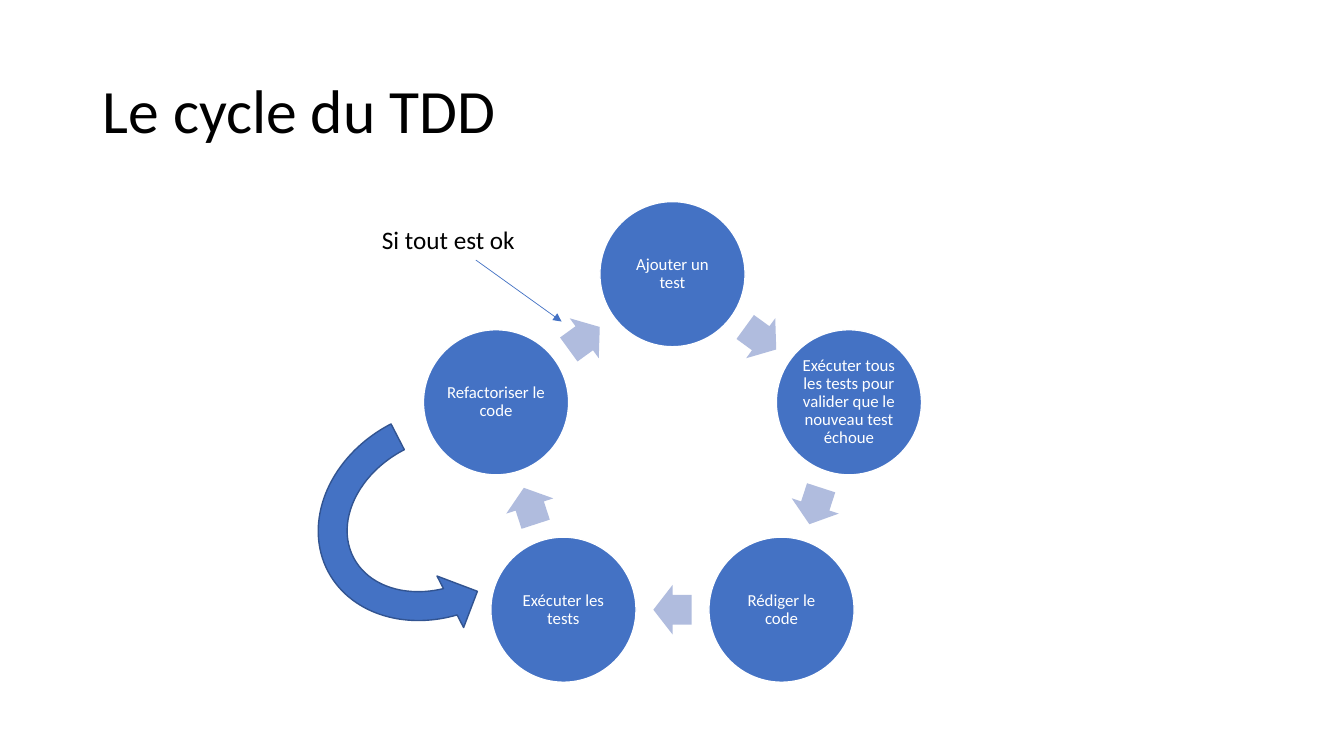
from dataclasses import dataclass
from math import cos, pi, radians, sin

from lxml import etree
from pptx import Presentation
from pptx import util as u
from pptx.dml.color import RGBColor
from pptx.enum import shapes, text
from pptx.oxml.ns import qn
from pptx.shapes.autoshape import Shape
from pptx.slide import Slide
from pptx.text.text import TextFrame


@dataclass(frozen=True)
class Theme:
    font: str = "Calibri"
    blue: RGBColor = RGBColor(0x44, 0x72, 0xC4)
    dark_blue: RGBColor = RGBColor(0x32, 0x54, 0x91)
    pale_blue: RGBColor = RGBColor(0xB0, 0xBC, 0xDE)
    black: RGBColor = RGBColor(0, 0, 0)
    white: RGBColor = RGBColor(255, 255, 255)
    title_size: int = 44
    label_size: int = 18
    step_size: int = 12


@dataclass(frozen=True)
class Box:
    left: float
    top: float
    width: float
    height: float

    def lengths(self) -> list[u.Length]:
        return [u.Inches(n) for n in (self.left, self.top, self.width, self.height)]


@dataclass(frozen=True)
class Cycle:
    x: float
    y: float
    radius: float
    steps: tuple[str, ...]

    @property
    def turn(self) -> float:
        return 360 / len(self.steps)

    def box_at(self, angle: float, radius: float, width: float, height: float) -> Box:
        x = self.x + radius * sin(radians(angle))
        y = self.y - radius * cos(radians(angle))
        return Box(x - width / 2, y - height / 2, width, height)


THEME = Theme()
CIRCLE_SIZE = 1.44
CYCLE = Cycle(6.67, 4.56, 1.84, (
    "Ajouter un test",
    "Exécuter tous les tests pour valider que le nouveau test échoue",
    "Rédiger le code",
    "Exécuter les tests",
    "Refactoriser le code",
))


def write(frame: TextFrame, words: str, size: int, color: RGBColor,
          spacing: float = 1.0) -> None:
    frame.text = words
    paragraph = frame.paragraphs[0]
    paragraph.line_spacing = spacing
    for run in paragraph.runs:
        run.font.name = THEME.font
        run.font.size = u.Pt(size)
        run.font.color.rgb = color


def add_text(slide: Slide, box: Box, words: str, size: int,
             spacing: float = 1.0, wrap: bool = True) -> None:
    frame = slide.shapes.add_textbox(*box.lengths()).text_frame
    frame.word_wrap = wrap
    frame.vertical_anchor = text.MSO_ANCHOR.MIDDLE
    write(frame, words, size, THEME.black, spacing)


def add_preset(slide: Slide, kind: shapes.MSO_SHAPE, box: Box, fill: RGBColor,
               outline: RGBColor | None = None, rotation: float = 0) -> Shape:
    shape = slide.shapes.add_shape(kind, *box.lengths())
    shape.shadow.inherit = False
    shape.rotation = rotation
    shape.fill.solid()
    shape.fill.fore_color.rgb = fill
    if outline is None:
        shape.line.fill.background()
    else:
        shape.line.color.rgb = outline
        shape.line.width = u.Pt(1)
    return shape


def add_step(slide: Slide, box: Box, words: str) -> None:
    circle = add_preset(slide, shapes.MSO_SHAPE.OVAL, box, THEME.blue, THEME.white)
    frame = circle.text_frame
    frame.word_wrap = True
    frame.vertical_anchor = text.MSO_ANCHOR.MIDDLE
    frame.margin_left = frame.margin_right = u.Inches(0.02)
    frame.margin_top = frame.margin_bottom = u.Inches(0.02)
    write(frame, words, THEME.step_size, THEME.white, 0.9)
    frame.paragraphs[0].alignment = text.PP_ALIGN.CENTER


def add_cycle(slide: Slide, cycle: Cycle) -> None:
    arrow_radius = cycle.radius * cos(pi / len(cycle.steps))
    for index, words in enumerate(cycle.steps):
        angle = index * cycle.turn
        add_step(slide, cycle.box_at(angle, cycle.radius, CIRCLE_SIZE, CIRCLE_SIZE), words)
        middle = angle + cycle.turn / 2
        arrow = add_preset(slide, shapes.MSO_SHAPE.RIGHT_ARROW,
                           cycle.box_at(middle, arrow_radius, 0.38, 0.49),
                           THEME.pale_blue, rotation=middle)
        arrow.adjustments[0] = 0.6
        arrow.adjustments[1] = 0.5


def add_return_arrow(slide: Slide, box: Box) -> None:
    arrow = add_preset(slide, shapes.MSO_SHAPE.CIRCULAR_ARROW, box,
                       THEME.blue, THEME.dark_blue, 242.7)
    arrow.element.spPr.find(qn("a:xfrm")).set("flipH", "1")


def add_pointer(slide: Slide, start: tuple[float, float], end: tuple[float, float]) -> None:
    ends = [u.Inches(n) for n in start + end]
    pointer = slide.shapes.add_connector(shapes.MSO_CONNECTOR.STRAIGHT, *ends)
    pointer.line.color.rgb = THEME.blue
    pointer.line.width = u.Pt(0.5)
    properties = pointer.element.spPr
    etree.SubElement(properties.find(qn("a:ln")), qn("a:tailEnd"), type="triangle")
    etree.SubElement(properties, qn("a:effectLst"))


def main() -> None:
    presentation = Presentation()
    presentation.slide_width = u.Inches(13.33)
    presentation.slide_height = u.Inches(7.5)
    slide = presentation.slides.add_slide(presentation.slide_layouts[6])
    add_text(slide, Box(0.92, 0.4, 11.5, 1.45), "Le cycle du TDD", THEME.title_size, 0.9)
    add_cycle(slide, CYCLE)
    add_return_arrow(slide, Box(3.19, 3.73, 2.3, 2.74))
    add_text(slide, Box(3.69, 2.18, 1.53, 0.4), "Si tout est ok", THEME.label_size, wrap=False)
    add_pointer(slide, (4.72, 2.58), (5.57, 3.19))
    presentation.save("out.pptx")


main()
